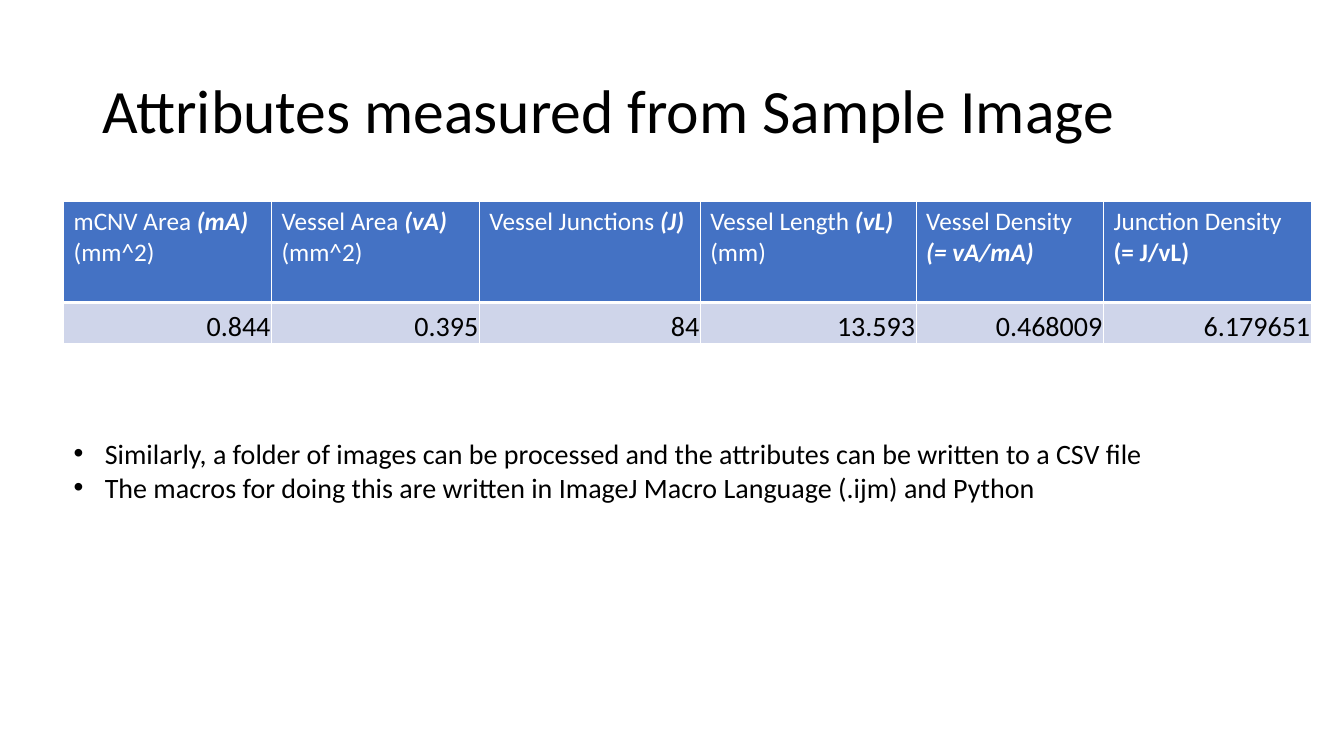
import pptx
import pptx.util
import pptx.dml.color
import pptx.enum.text
import pptx.oxml
import pptx.oxml.ns

COLORS = {"text": "000000", "header": "4472C4", "band": "CFD5EA", "white": "FFFFFF"}
HEADERS = [
    [[("mCNV Area ", ""), ("(mA) ", "bi"), ("(mm^2)", "")]],
    [[("Vessel Area ", ""), ("(vA) ", "bi"), ("(mm^2)", "")]],
    [[("Vessel Junctions ", ""), ("(J)", "bi")]],
    [[("Vessel Length ", ""), ("(vL) ", "bi"), ("(mm)", "")]],
    [[("Vessel Density", "")], [("(= vA/mA)", "bi")]],
    [[("Junction Density ", ""), ("(= J/vL)", "b")]],
]
VALUES = ["0.844", "0.395", "84", "13.593", "0.468009", "6.179651"]
COLUMN_WIDTHS = [9.9, 9.9, 10.52, 10.28, 8.92, 9.9]
ROW_HEIGHTS = [4.8, 1.97]
BULLETS = [
    "Similarly, a folder of images can be processed and the attributes can be written to a CSV file",
    "The macros for doing this are written in ImageJ Macro Language (.ijm) and Python",
]


def write(paragraph, text, size=20, color="text", bold=False, italic=False):
    """Append a formatted run to the paragraph."""
    run = paragraph.add_run()
    run.text = text
    font = run.font
    font.name = "Calibri"
    font.size = pptx.util.Pt(size)
    font.bold = bold
    font.italic = italic
    font.color.rgb = pptx.dml.color.RGBColor.from_string(COLORS[color])


def xml(tag, attributes, content=""):
    """Build an element of the drawing namespace."""
    namespace = pptx.oxml.ns.nsdecls("a")
    return pptx.oxml.parse_xml(f"<a:{tag} {namespace} {attributes}>{content}</a:{tag}>")


class SlideBuilder:
    """Place styled elements on a slide with a 64 by 36 grid."""

    def __init__(self, presentation):
        """Add a blank slide and work out its grid."""
        self.slide = presentation.slides.add_slide(presentation.slide_layouts[6])
        self.column = presentation.slide_width / 64
        self.row = presentation.slide_height / 36

    def place(self, left, top, width, height):
        """Turn grid units into lengths."""
        return (int(left * self.column), int(top * self.row),
                int(width * self.column), int(height * self.row))

    def text_frame(self, *area):
        """Add a wrapping text box and return its frame."""
        frame = self.slide.shapes.add_textbox(*self.place(*area)).text_frame
        frame.word_wrap = True
        return frame

    def title(self, text, *area):
        """Add the slide title."""
        frame = self.text_frame(*area)
        frame.vertical_anchor = pptx.enum.text.MSO_ANCHOR.MIDDLE
        frame.paragraphs[0].line_spacing = 0.9
        write(frame.paragraphs[0], text, size=44)

    def bullets(self, texts, *area):
        """Add a bulleted list."""
        frame = self.text_frame(*area)
        frame.auto_size = pptx.enum.text.MSO_AUTO_SIZE.SHAPE_TO_FIT_TEXT
        indent = pptx.util.Inches(0.31)
        for index, text in enumerate(texts):
            paragraph = frame.add_paragraph() if index else frame.paragraphs[0]
            properties = paragraph._p.get_or_add_pPr()
            properties.set("marL", str(indent))
            properties.set("indent", str(-indent))
            properties.append(xml("buFont", 'typeface="Arial"'))
            properties.append(xml("buChar", 'char="•"'))
            write(paragraph, text)

    def style_cell(self, cell, fill, bottom):
        """Set the fill and the white borders of a cell."""
        cell.fill.solid()
        cell.fill.fore_color.rgb = pptx.dml.color.RGBColor.from_string(COLORS[fill])
        properties = cell._tc.get_or_add_tcPr()
        line = f'<a:solidFill><a:srgbClr val="{COLORS["white"]}"/></a:solidFill>'
        for index, (side, points) in enumerate(zip("LRTB", (1, 1, bottom if fill == "band" else 1, bottom))):
            width = pptx.util.Pt(points)
            properties.insert(index, xml(f"ln{side}", f'w="{width}"', line))

    def header_cell(self, cell, paragraphs):
        """Fill a header cell with mixed bold and italic runs."""
        self.style_cell(cell, "header", 3)
        for index, runs in enumerate(paragraphs):
            frame = cell.text_frame
            paragraph = frame.add_paragraph() if index else frame.paragraphs[0]
            for text, style in runs:
                write(paragraph, text, size=18, color="white", bold="b" in style, italic="i" in style)

    def value_cell(self, cell, text):
        """Fill a right-aligned value cell."""
        self.style_cell(cell, "band", 1)
        cell.margin_left = cell.margin_right = cell.margin_top = pptx.util.Inches(0.01)
        cell.margin_bottom = 0
        cell.vertical_anchor = pptx.enum.text.MSO_ANCHOR.BOTTOM
        paragraph = cell.text_frame.paragraphs[0]
        paragraph.alignment = pptx.enum.text.PP_ALIGN.RIGHT
        write(paragraph, text)

    def table(self, headers, values, widths, heights, left, top):
        """Add a table with one header row and one value row."""
        area = self.place(left, top, sum(widths), sum(heights))
        table = self.slide.shapes.add_table(2, len(widths), *area).table
        for column, width in zip(table.columns, widths):
            column.width = int(width * self.column)
        for row, height in zip(table.rows, heights):
            row.height = int(height * self.row)
        for index, (header, value) in enumerate(zip(headers, values)):
            self.header_cell(table.cell(0, index), header)
            self.value_cell(table.cell(1, index), value)


def main():
    """Build and save the presentation."""
    presentation = pptx.Presentation()
    presentation.slide_width = pptx.util.Inches(13.33)
    presentation.slide_height = pptx.util.Inches(7.5)
    builder = SlideBuilder(presentation)
    builder.title("Attributes measured from Sample Image", 4.4, 1.92, 55.2, 6.96)
    builder.table(HEADERS, VALUES, COLUMN_WIDTHS, ROW_HEIGHTS, 3.03, 9.6)
    builder.bullets(BULLETS, 3.03, 20.55, 55.2, 3.7)
    presentation.save("out.pptx")


if __name__ == "__main__":
    main()
